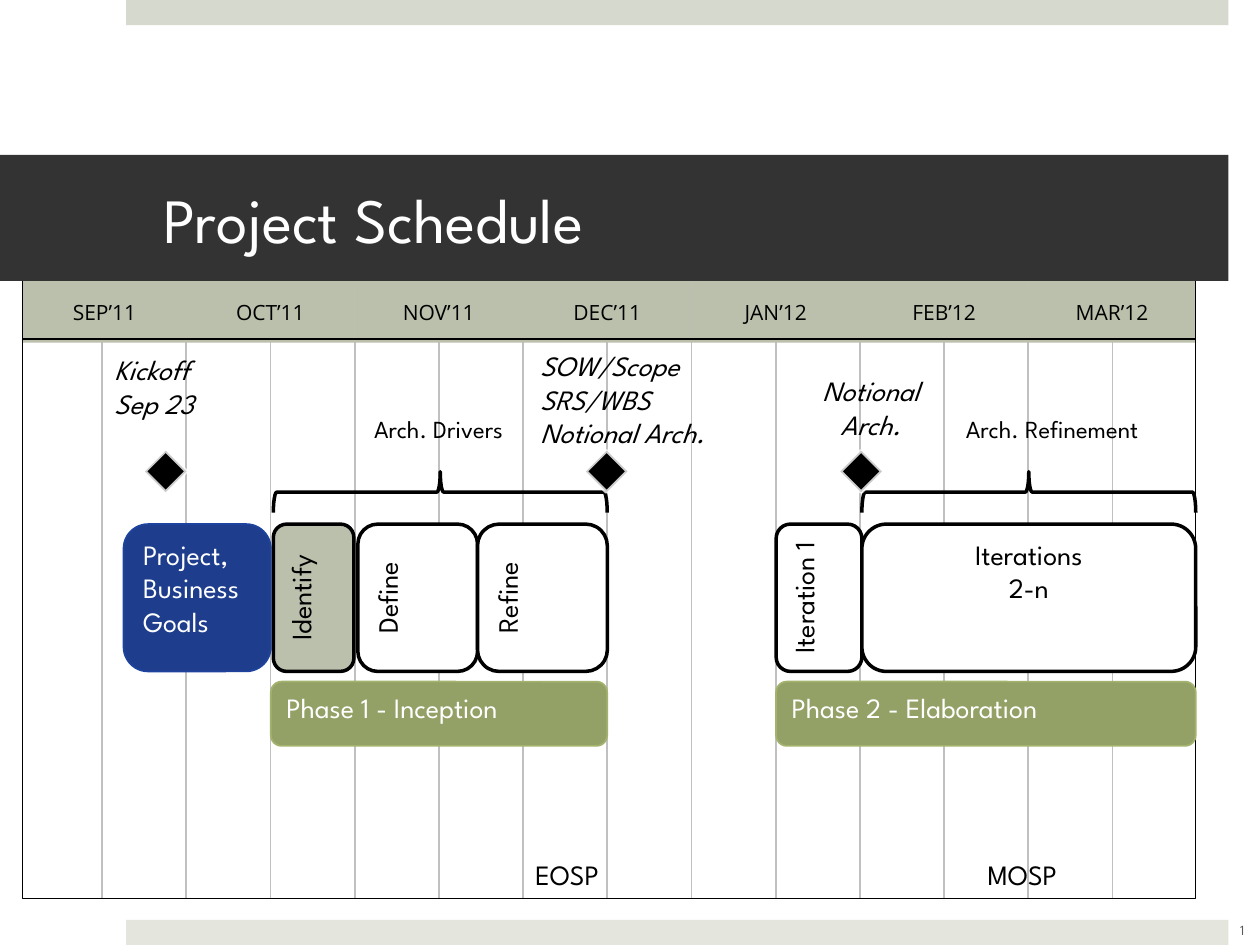
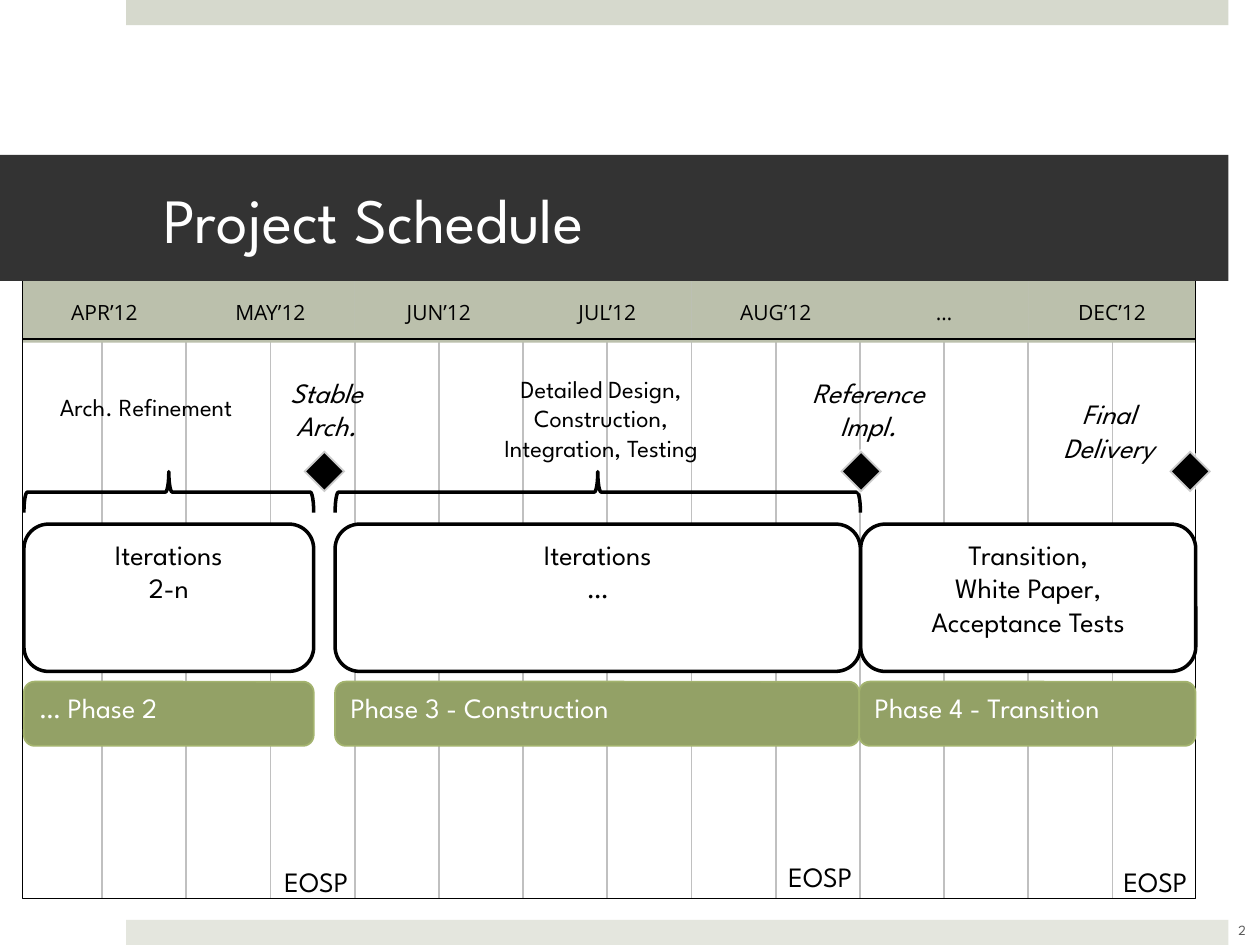
from collections import namedtuple

from lxml.etree import SubElement
from pptx import Presentation
from pptx.dml.color import RGBColor
from pptx.enum.shapes import MSO_CONNECTOR as Connector, MSO_SHAPE as Preset
from pptx.enum.text import MSO_ANCHOR as Anchor, MSO_AUTO_SIZE as AutoSize, PP_ALIGN as Align
from pptx.oxml.ns import qn
from pptx.util import Pt

Box = namedtuple("Box", "left top width height")
# Positions inside the schedule are measured from its top left corner.
Activity = namedtuple("Activity", "left width lines style", defaults=["centred"])
Phase = namedtuple("Phase", "left width name")
Brace = namedtuple("Brace", "left width")
Label = namedtuple("Label", "left top width lines align", defaults=[Align.CENTER])
Month = namedtuple("Month", "left right name")

FONT, MONTH_FONT = "League Spartan", "Open Sans"
BLACK, WHITE, DARK, GREY = "000000", "FFFFFF", "333333", "595959"
TOP_BAND, BOTTOM_BAND, GRID = "D6D9CD", "E4E6DE", "C0C0C0"
SAGE, NAVY, NAVY_LINE = "BBC0AC", "1E3E8D", "1E439E"
OLIVE, OLIVE_LINE = "93A166", "A3B36E"

SCHEDULE = Box(13, 160.5, 670.3, 352.8)
TITLE = Box(0, 88.5, 702, 72)
PAGE_NUMBER = Box(691.9, 517, 36, 28.8)
BANDS = ((Box(72, 0, 630, 14.4), TOP_BAND), (Box(72, 525.6, 630, 14.4), BOTTOM_BAND))

GRID_START, GRID_STEP, GRID_COUNT = 45.3, 48.12, 13
HEADER_HEIGHT, RULE_TOP = 35.3, 33.2
DIAMOND_TOP, DIAMOND_SIZE = 97, 23.8
BRACE_TOP, BRACE_HEIGHT = 109, 23.4
ACTIVITY_TOP, ACTIVITY_HEIGHT = 139, 84.2
PHASE_TOP, PHASE_HEIGHT = 229, 36.7


def color(hex_value):
    """Turn a hex string into a colour."""
    return RGBColor.from_string(hex_value)


def inside(box, left, top, width, height):
    """Return a box placed relative to the corner of another box."""
    return Box(box.left + left, box.top + top, width, height)


def add_shape(slide, preset, box, fill=None, line=None, line_width=1):
    """Add a flat preset shape with optional fill and outline."""
    shape = slide.shapes.add_shape(preset, *map(Pt, box))
    shape.shadow.inherit = False
    if fill:
        shape.fill.solid()
        shape.fill.fore_color.rgb = color(fill)
    else:
        shape.fill.background()
    if line:
        shape.line.color.rgb = color(line)
        shape.line.width = Pt(line_width)
    else:
        shape.line.fill.background()
    return shape


def add_line(slide, start, end, line, line_width):
    """Add a straight line without a shadow."""
    connector = slide.shapes.add_connector(Connector.STRAIGHT, *map(Pt, start + end))
    connector.line.color.rgb = color(line)
    connector.line.width = Pt(line_width)
    SubElement(connector.element.spPr, qn("a:effectLst"))


def write(shape, lines, size, ink=BLACK, font=FONT, align=Align.LEFT,
          anchor=Anchor.TOP, italic=False, wrap=True):
    """Write one paragraph per line into a shape."""
    frame = shape.text_frame
    frame.word_wrap = wrap
    frame.vertical_anchor = anchor
    for index, line in enumerate(lines):
        paragraph = frame.add_paragraph() if index else frame.paragraphs[0]
        paragraph.alignment = align
        run = paragraph.add_run()
        run.text = line
        run.font.name = font
        run.font.size = Pt(size)
        run.font.italic = italic
        run.font.color.rgb = color(ink)


def add_label(slide, box, label, size=16, italic=False, wrap=False):
    """Add a text box that fits the height of its lines."""
    line_height = 1.21 * size
    height = len(label.lines) * line_height + 7.2
    text_box = slide.shapes.add_textbox(
        *map(Pt, inside(box, label.left, label.top, label.width, height)))
    write(text_box, label.lines, size, align=label.align, italic=italic, wrap=wrap)
    text_box.text_frame.auto_size = AutoSize.SHAPE_TO_FIT_TEXT


def add_bands(slide):
    """Draw the pale bands at the top and bottom edges."""
    for box, fill in BANDS:
        add_shape(slide, Preset.RECTANGLE, box, fill)


def add_title(slide, box, title):
    """Draw the dark title bar."""
    bar = add_shape(slide, Preset.RECTANGLE, box, DARK)
    bar.text_frame.margin_left, bar.text_frame.margin_right = Pt(93.6), Pt(21.6)
    write(bar, [title], 36, WHITE, anchor=Anchor.MIDDLE)


def add_page_number(slide, box, number):
    """Write the page number in the corner."""
    text_box = slide.shapes.add_textbox(*map(Pt, box))
    write(text_box, [str(number)], 8, GREY, align=Align.CENTER, anchor=Anchor.MIDDLE)


def add_calendar(slide, box, names):
    """Draw the half-month grid, the month headers and the frame."""
    grid = [GRID_START + GRID_STEP * index for index in range(GRID_COUNT)]
    bottom = box.top + box.height
    for x in grid:
        add_line(slide, (box.left + x, box.top), (box.left + x, bottom), GRID, 1)
    edges = [0] + grid[1::2] + [box.width]
    for month in map(Month, edges, edges[1:], names):
        header = add_shape(
            slide, Preset.RECTANGLE,
            inside(box, month.left, 0, month.right - month.left, HEADER_HEIGHT), SAGE)
        write(header, [month.name], 12, font=MONTH_FONT, align=Align.CENTER,
              anchor=Anchor.MIDDLE, wrap=False)
    add_shape(slide, Preset.RECTANGLE, box, line=BLACK, line_width=0.5)
    rule = box.top + RULE_TOP
    add_line(slide, (box.left, rule), (box.left + box.width, rule), BLACK, 1.5)


def add_activity(slide, box, activity):
    """Draw one rounded activity box in its style."""
    filled = {"goal": NAVY, "shaded": SAGE}.get(activity.style, WHITE)
    goal = activity.style == "goal"
    shape = add_shape(
        slide, Preset.ROUNDED_RECTANGLE,
        inside(box, activity.left, ACTIVITY_TOP, activity.width, ACTIVITY_HEIGHT),
        filled, NAVY_LINE if goal else BLACK, 1 if goal else 2)
    write(shape, activity.lines, 16, WHITE if goal else BLACK,
          align=Align.LEFT if goal else Align.CENTER)
    if activity.style in ("shaded", "upright"):
        shape.element.txBody.bodyPr.set("vert", "vert270")


def add_phase(slide, box, phase):
    """Draw one phase bar."""
    bar = add_shape(slide, Preset.ROUNDED_RECTANGLE,
                    inside(box, phase.left, PHASE_TOP, phase.width, PHASE_HEIGHT),
                    OLIVE, OLIVE_LINE)
    write(bar, [phase.name], 16, WHITE)


def add_brace(slide, box, brace):
    """Draw a brace that opens downwards over a span of activities."""
    shift = (brace.width - BRACE_HEIGHT) / 2
    shape = add_shape(
        slide, Preset.RIGHT_BRACE,
        inside(box, brace.left + shift, BRACE_TOP - shift, BRACE_HEIGHT, brace.width),
        line=BLACK, line_width=2)
    shape.rotation = 270


def add_diamond(slide, box, left):
    """Draw a milestone diamond with a translucent white edge."""
    diamond = add_shape(slide, Preset.DIAMOND,
                        inside(box, left, DIAMOND_TOP, DIAMOND_SIZE, DIAMOND_SIZE),
                        BLACK, WHITE, 2)
    edge = diamond.line.fill.fore_color
    edge.rgb = color(WHITE)
    rgb = diamond.element.spPr.find(qn("a:ln")).find(".//" + qn("a:srgbClr"))
    SubElement(rgb, qn("a:alpha")).set("val", "80000")


def add_schedule(slide, box, plan):
    """Draw the calendar with all its activities and milestones."""
    add_calendar(slide, box, plan["months"])
    for activity in plan["activities"]:
        add_activity(slide, box, activity)
    for phase in plan["phases"]:
        add_phase(slide, box, phase)
    for brace in plan["braces"]:
        add_brace(slide, box, brace)
    for left in plan["diamonds"]:
        add_diamond(slide, box, left)
    for caption in plan["captions"]:
        add_label(slide, box, caption, size=14, wrap=True)
    for milestone in plan["milestones"]:
        add_label(slide, box, milestone, italic=True)
    for ending in plan["endings"]:
        add_label(slide, box, ending)


PLANS = [
    {
        "months": ["SEP’11", "OCT’11", "NOV’11", "DEC’11", "JAN’12", "FEB’12", "MAR’12"],
        "activities": [
            Activity(57.6, 84.2, ["Project,", "Business", "Goals"], "goal"),
            Activity(143.2, 46.1, ["Identify"], "shaded"),
            Activity(191.5, 68.4, ["Define"], "upright"),
            Activity(259.9, 74.2, ["Refine"], "upright"),
            Activity(430.5, 49, ["Iteration 1"], "upright"),
            Activity(479.5, 190.8, ["Iterations", "2-n"]),
        ],
        "phases": [Phase(141.8, 192.2, "Phase 1 - Inception"),
                   Phase(430.5, 239.8, "Phase 2 - Elaboration")],
        "braces": [Brace(143.2, 190.8), Brace(479.5, 190.8)],
        "diamonds": [69.8, 321.8, 467.2],
        "captions": [Label(144.7, 72.8, 185.8, ["Arch. Drivers"]),
                     Label(514.8, 72.8, 146.9, ["Arch. Refinement"])],
        "milestones": [
            Label(45.3, 37.5, 69.1, ["Kickoff", "Sep 23"], Align.LEFT),
            Label(288.7, 35.3, 129.6, ["SOW/Scope", "SRS/WBS", "Notional Arch."], Align.LEFT),
            Label(442.8, 49.7, 83.5, ["Notional", "Arch."]),
        ],
        "endings": [Label(285.8, 326.2, 54.7, ["EOSP"], Align.LEFT),
                    Label(544.3, 326.2, 61.2, ["MOSP"], Align.LEFT)],
    },
    {
        "months": ["APR’12", "MAY’12", "JUN’12", "JUL’12", "AUG’12", "…", "DEC’12"],
        "activities": [
            Activity(0.7, 165.6, ["Iterations", "2-n"]),
            Activity(478.8, 191.5, ["Transition,", "White Paper,", "Acceptance Tests"]),
            Activity(178.5, 300.2, ["Iterations", "…"]),
        ],
        "phases": [Phase(178.5, 299.5, "Phase 3 - Construction"),
                   Phase(0.7, 165.6, "… Phase 2"),
                   Phase(478, 192.2, "Phase 4 - Transition")],
        "braces": [Brace(0.7, 165.6), Brace(178.5, 300.2)],
        "diamonds": [160.5, 467.2, 655.2],
        "captions": [
            Label(-0.8, 59.8, 142.6, ["Arch. Refinement"]),
            Label(259.2, 49.7, 142.6,
                  ["Detailed Design,", "Construction, Integration, Testing"]),
        ],
        "milestones": [Label(140.4, 50.5, 66.2, ["Stable", "Arch."]),
                       Label(433.4, 50.5, 99.4, ["Reference", "Impl."]),
                       Label(581, 62.7, 79.2, ["Final", "Delivery"])],
        "endings": [Label(142.5, 329.8, 54.7, ["EOSP"], Align.LEFT),
                    Label(430.5, 326.9, 54.7, ["EOSP"], Align.LEFT),
                    Label(622, 329.8, 54.7, ["EOSP"], Align.LEFT)],
    },
]


def add_schedule_slide(presentation, number, plan):
    """Build one schedule slide with its shared frame."""
    slide = presentation.slides.add_slide(presentation.slide_layouts[6])
    add_bands(slide)
    add_schedule(slide, SCHEDULE, plan)
    add_title(slide, TITLE, "Project Schedule")
    add_page_number(slide, PAGE_NUMBER, number)


presentation = Presentation()
presentation.slide_width, presentation.slide_height = Pt(720), Pt(540)
for number, plan in enumerate(PLANS, 1):
    add_schedule_slide(presentation, number, plan)
presentation.save("out.pptx")
